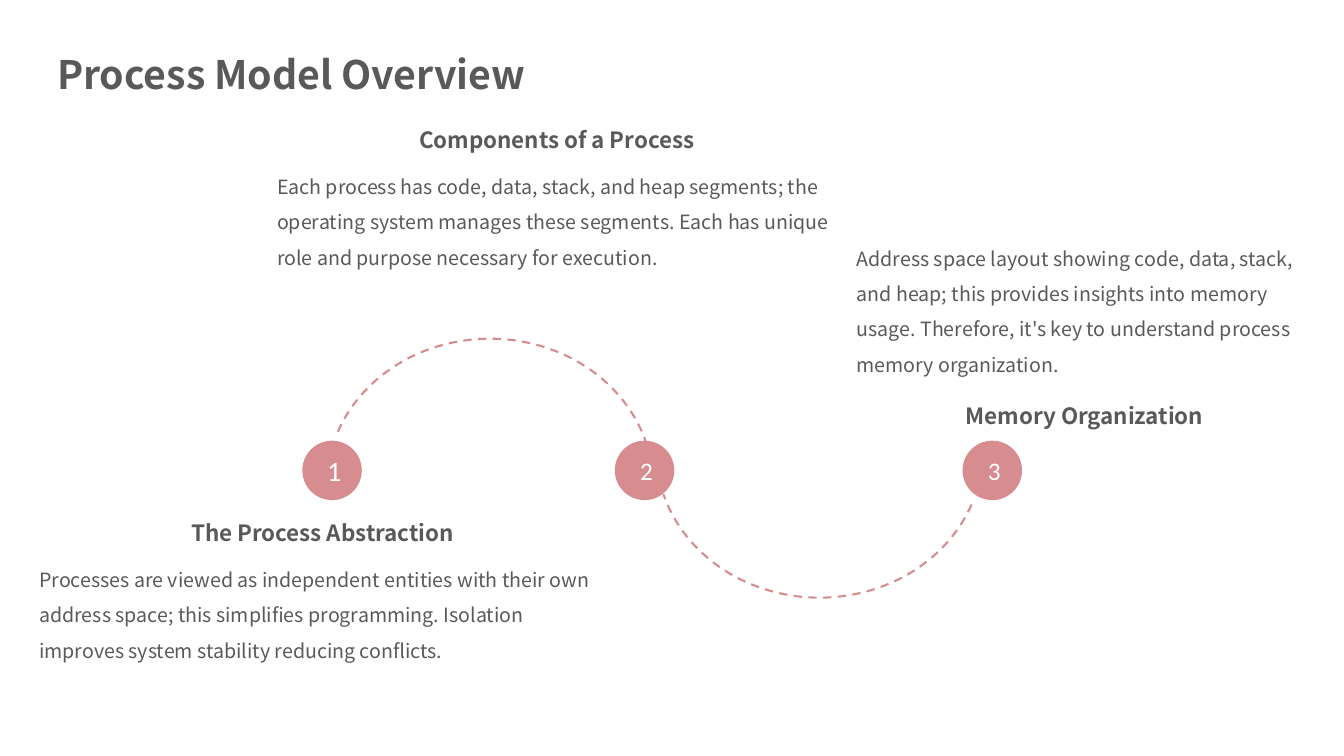
from dataclasses import dataclass

from pptx import Presentation
from pptx.dml.color import RGBColor
from pptx.enum.dml import MSO_LINE
from pptx.enum.shapes import MSO_SHAPE as Preset
from pptx.enum.text import MSO_ANCHOR as Anchor, MSO_AUTO_SIZE as AutoSize, PP_ALIGN as Align
from pptx.util import Pt


@dataclass(frozen=True)
class Theme:
    ink: RGBColor = RGBColor(0x59, 0x59, 0x59)
    rose: RGBColor = RGBColor(0xD7, 0x8D, 0x8F)
    white: RGBColor = RGBColor(0xFF, 0xFF, 0xFF)
    font: str = "Noto Sans CJK SC"
    number_font: str = "Calibri"
    title: int = 28
    heading: int = 16
    body: int = 14
    first_number: int = 20
    number: int = 18


THEME = Theme()
BADGE = 42.5
BADGE_MIDDLE = 336
ARC_SIZE = (233.3, 209.5)
ARC_ENDS = (119.625, 206.73)  # 199.4 and 344.6 degrees, in units of 100000/60000

# number, size, badge centre, heading box, heading anchor, body box, body anchor, heading, body
STEPS = [
    ("1", THEME.first_number, 237.2,
     (20.9, 363.6, 419, 28.8), Anchor.TOP, (20.9, 393.8, 419, 59.8), Anchor.TOP,
     "The Process Abstraction",
     "Processes are viewed as independent entities with their own address space; "
     "this simplifies programming. Isolation improves system stability reducing conflicts."),
    ("2", THEME.number, 460.4,
     (190.8, 84.2, 414, 28.8), Anchor.BOTTOM, (190.8, 113, 414, 59.8), Anchor.TOP,
     "Components of a Process",
     "Each process has code, data, stack, and heap segments; the operating system manages "
     "these segments. Each has unique role and purpose necessary for execution."),
    ("3", THEME.number, 708.8,
     (604.8, 280.1, 339.8, 28.8), Anchor.TOP, (604.8, 179.3, 339.8, 92.9), Anchor.BOTTOM,
     "Memory Organization",
     "Address space layout showing code, data, stack, and heap; this provides insights into "
     "memory usage. Therefore, it's key to understand process memory organization."),
]


def points(box):
    return [Pt(length) for length in box]


def write(frame, text, *, size, color=THEME.ink, font=THEME.font, bold=False,
          align=Align.LEFT, anchor=Anchor.TOP, spacing=None, before=None):
    frame.vertical_anchor = anchor
    paragraph = frame.paragraphs[0]
    paragraph.alignment = align
    paragraph.line_spacing = spacing
    paragraph.space_before = before
    run = paragraph.add_run()
    run.text = text
    run.font.name, run.font.size, run.font.bold = font, Pt(size), bold
    run.font.color.rgb = color


def add_text(slide, box, text, **style):
    frame = slide.shapes.add_textbox(*points(box)).text_frame
    frame.word_wrap = True
    frame.auto_size = AutoSize.SHAPE_TO_FIT_TEXT
    write(frame, text, **style)


def add_arc(slide, left, top, rotation=0):
    arc = slide.shapes.add_shape(Preset.ARC, *points((left, top, *ARC_SIZE)))
    arc.adjustments[0], arc.adjustments[1] = ARC_ENDS
    arc.rotation = rotation
    arc.shadow.inherit = False
    arc.fill.background()
    arc.line.color.rgb = THEME.rose
    arc.line.width = Pt(1.5)
    arc.line.dash_style = MSO_LINE.DASH


def add_badge(slide, center, number, size):
    box = (center - BADGE / 2, BADGE_MIDDLE - BADGE / 2, BADGE, BADGE)
    badge = slide.shapes.add_shape(Preset.OVAL, *points(box))
    badge.shadow.inherit = False
    badge.fill.solid()
    badge.fill.fore_color.rgb = THEME.rose
    badge.line.fill.background()
    frame = badge.text_frame
    frame.margin_left = Pt(3)
    frame.margin_top = frame.margin_right = frame.margin_bottom = 0
    write(frame, number, size=size, color=THEME.white, font=THEME.number_font,
          align=Align.CENTER, anchor=Anchor.MIDDLE)


def add_step(slide, number, number_size, center, heading_box, heading_anchor,
             body_box, body_anchor, heading, body):
    add_badge(slide, center, number, number_size)
    add_text(slide, body_box, body, size=THEME.body, anchor=body_anchor,
             spacing=1.5, before=Pt(0.2 * THEME.body))
    add_text(slide, heading_box, heading, size=THEME.heading, bold=True, align=Align.CENTER,
             anchor=heading_anchor, spacing=1.2, before=Pt(0.2 * THEME.heading))


def main():
    deck = Presentation()
    deck.slide_width, deck.slide_height = Pt(960), Pt(540)
    slide = deck.slides.add_slide(deck.slide_layouts[6])
    add_text(slide, (33.8, 32.4, 680.4, 41), "Process Model Overview",
             size=THEME.title, bold=True)
    add_arc(slide, 233.3, 241.9)
    add_arc(slide, 468.7, 217.4, rotation=180)
    for step in STEPS:
        add_step(slide, *step)
    deck.save("out.pptx")


if __name__ == "__main__":
    main()
